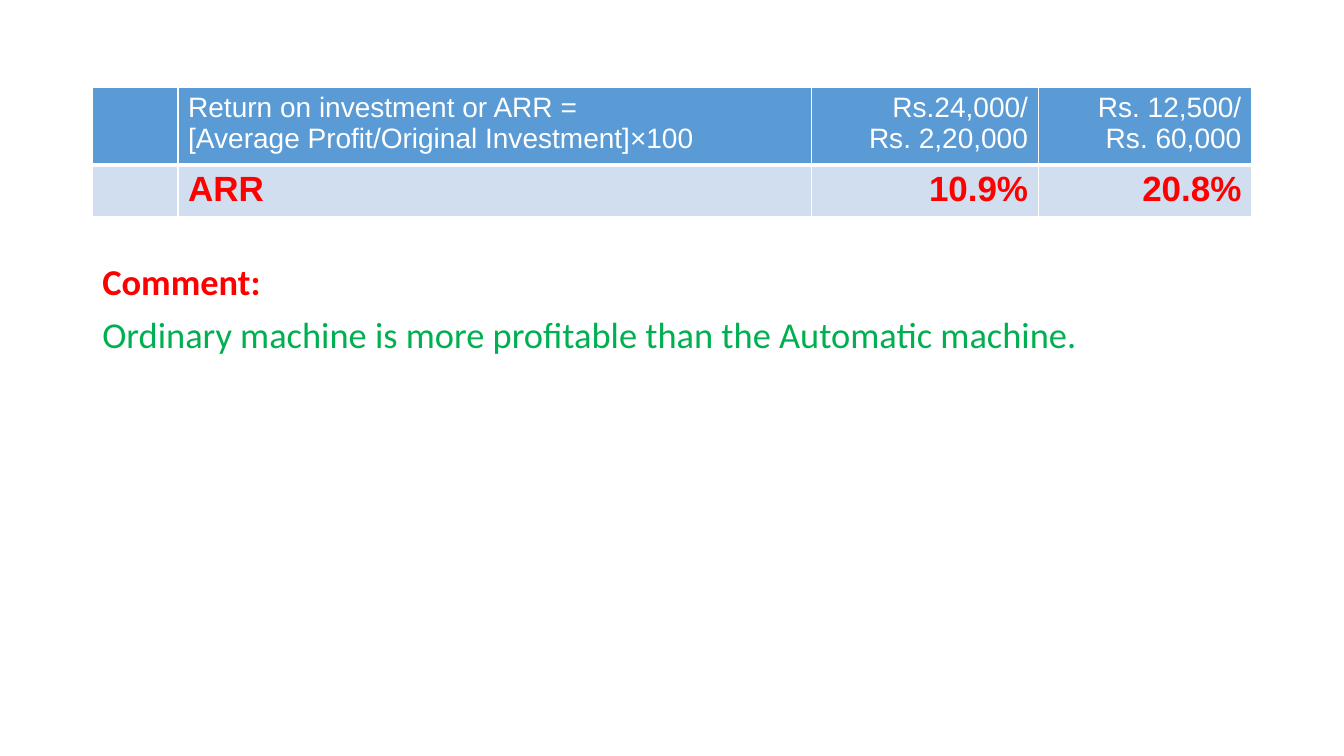
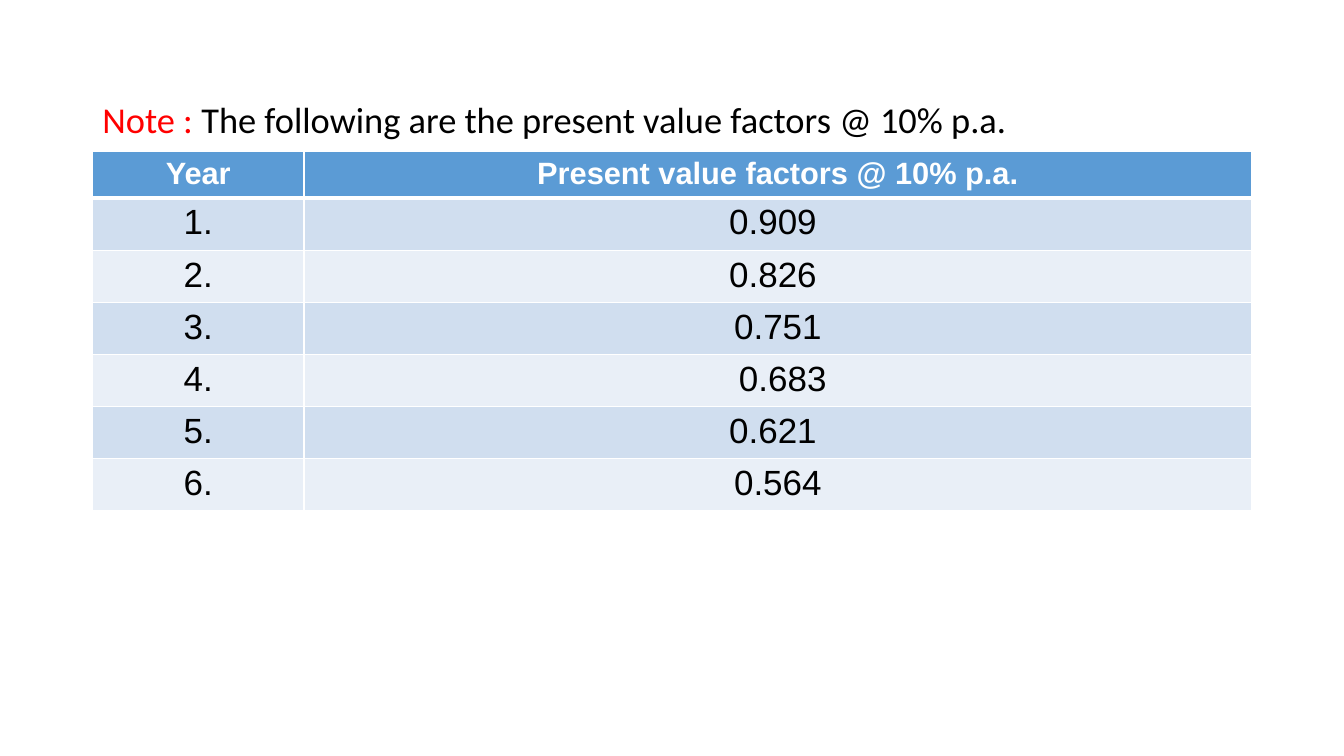
from lxml.etree import SubElement
from pptx import Presentation
from pptx.dml.color import RGBColor
from pptx.enum.text import MSO_ANCHOR as Anchor, PP_ALIGN as Align
from pptx.oxml.ns import qn
from pptx.util import Inches, Pt

BLUE, PALE, LIGHT = "5B9BD5", "D0DEEF", "E9EFF7"
WHITE, BLACK, RED, GREEN = "FFFFFF", "000000", "FF0000", "00B050"
LEFT, WIDE = 11, 138  # content margin and width in grid columns


def color(code):
    return RGBColor.from_string(code)


def style(font, name, size, code, bold=False):
    font.name, font.size, font.bold = name, Pt(size), bold
    font.color.rgb = color(code)


def edge(cell, tag, width):
    line = SubElement(cell._tc.get_or_add_tcPr(), qn("a:" + tag), w=str(Pt(width)))
    fill = SubElement(line, qn("a:solidFill"))
    SubElement(fill, qn("a:srgbClr"), val=WHITE)


class Deck:
    """Holds the style and the current slide; lengths are grid units."""

    COLS, ROWS = 160, 90
    TEXT, GRID = "Calibri", "Arial"

    def __init__(self):
        self.file = Presentation()
        self.file.slide_width = Inches(13.33)
        self.file.slide_height = Inches(7.5)
        self.slide = None

    def x(self, cols):
        return round(self.file.slide_width * cols / self.COLS)

    def y(self, rows):
        return round(self.file.slide_height * rows / self.ROWS)

    def page(self):
        self.slide = self.file.slides.add_slide(self.file.slide_layouts[6])

    def text(self, top, high, lines):
        """Each line is a list of (text, color, bold) runs."""
        box = self.slide.shapes.add_textbox(
            self.x(LEFT), self.y(top), self.x(WIDE), self.y(high))
        frame = box.text_frame
        frame.word_wrap = True
        for i, runs in enumerate(lines):
            para = frame.add_paragraph() if i else frame.paragraphs[0]
            para.line_spacing = 0.9
            if i:
                para.space_before = Pt(10)
            for words, code, bold in runs:
                run = para.add_run()
                run.text = words
                style(run.font, self.TEXT, 26, code, bold)

    def table(self, top, cols, highs, aligns, data, head, body):
        """head and body are (size, color, bold); highs are their row heights."""
        heights = [highs[0]] + [highs[1]] * (len(data) - 1)
        grid = self.slide.shapes.add_table(
            len(data), len(cols), self.x(LEFT), self.y(top),
            self.x(sum(cols)), self.y(sum(heights))).table
        for col, width in zip(grid.columns, cols):
            col.width = self.x(width)
        for r, (row, high) in enumerate(zip(data, heights)):
            grid.rows[r].height = self.y(high)
            back = (PALE if r % 2 else LIGHT) if r else BLUE
            for c, words in enumerate(row):
                self.cell(grid.cell(r, c), words, aligns[c], back,
                          body if r else head)
                for tag in ("lnL", "lnR", "lnT", "lnB"):
                    heavy = (r, tag) in ((0, "lnB"), (1, "lnT"))
                    edge(grid.cell(r, c), tag, 3 if heavy else 1)
                grid.cell(r, c).fill.solid()
                grid.cell(r, c).fill.fore_color.rgb = color(back)

    def cell(self, cell, words, align, back, look):
        cell.vertical_anchor = Anchor.TOP
        cell.text_frame.text = words
        for para in cell.text_frame.paragraphs:
            para.alignment = align
            style(para.font, self.GRID, *look)
            for run in para.runs:
                style(run.font, self.GRID, *look)


def returns(deck):
    deck.page()
    deck.text(30.8, 13, [
        [("Comment:", RED, True)],
        [("Ordinary machine is more profitable than the Automatic machine.",
          GREEN, False)],
    ])
    deck.table(
        10.4, (10.2, 75.4, 27, 25.4), (8.4, 5.8),
        (Align.LEFT, Align.LEFT, Align.RIGHT, Align.RIGHT),
        [("", "Return on investment or ARR =\n"
              "[Average Profit/Original Investment]×100",
          "Rs.24,000/\nRs. 2,20,000", "Rs. 12,500/\nRs. 60,000"),
         ("", "ARR", "10.9%", "20.8%")],
        (20, WHITE, False), (25, RED, True))


def factors(deck):
    deck.page()
    deck.text(11.6, 6.4, [
        [("Note : ", RED, False),
         ("The following are the present value factors @ 10% p.a.", BLACK, False)],
    ])
    values = ("0.909 ", "0.826 ", " 0.751 ", " 0.683", "0.621 ", "0.564")
    data = [("Year", "Present value factors @ 10% p.a.")]
    data += [(f"{year}.", value) for year, value in enumerate(values, 1)]
    deck.table(18, (25.2, 112.8), (5.1, 5.8), (Align.CENTER, Align.CENTER),
               data, (22, WHITE, True), (25, BLACK, False))


def main():
    deck = Deck()
    returns(deck)
    factors(deck)
    deck.file.save("out.pptx")


if __name__ == "__main__":
    main()
